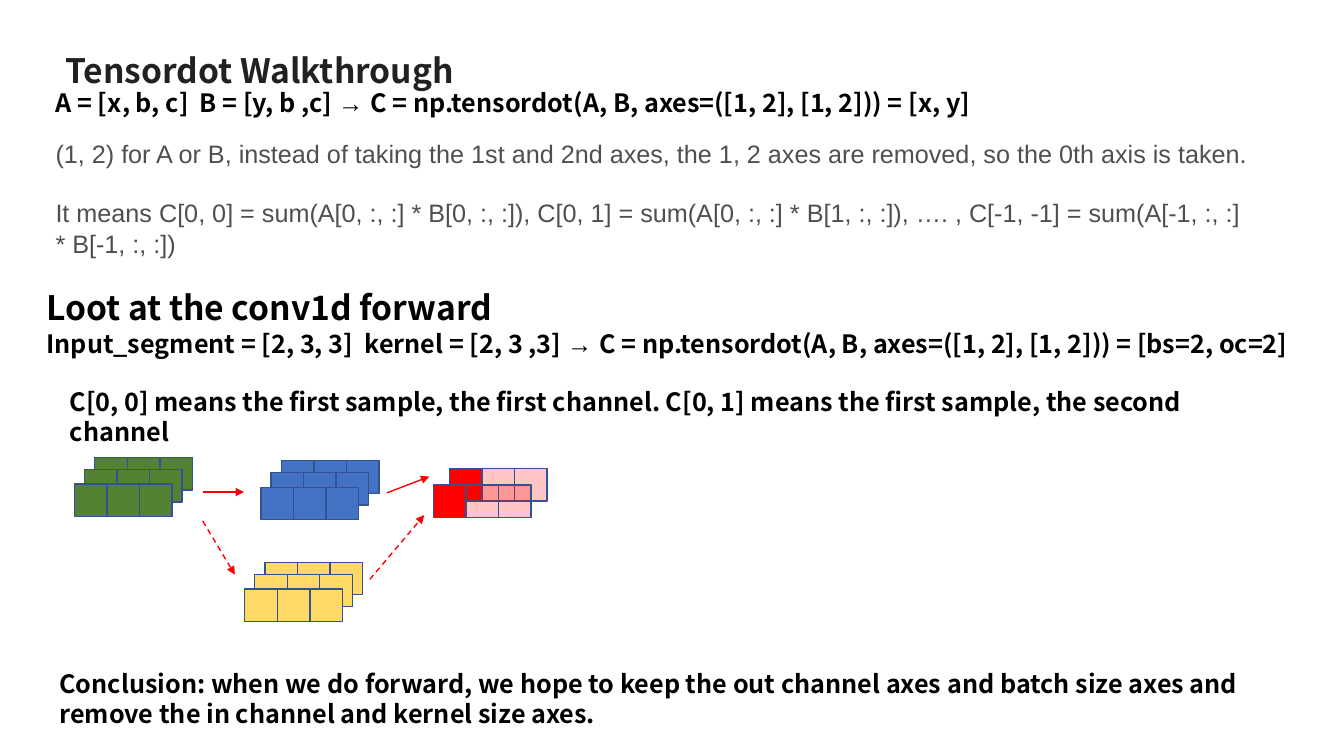
"""Build the Tensordot Walkthrough slide with its convolution block diagram."""
from dataclasses import dataclass

from lxml import etree
from pptx import Presentation
from pptx.dml.color import RGBColor
from pptx.enum.dml import MSO_LINE
from pptx.enum.shapes import MSO_CONNECTOR, MSO_SHAPE
from pptx.enum.text import MSO_ANCHOR, MSO_AUTO_SIZE, PP_ALIGN
from pptx.oxml.ns import qn
from pptx.util import Cm, Pt

RECTANGLE = MSO_SHAPE.RECTANGLE
STRAIGHT = MSO_CONNECTOR.STRAIGHT
DASH = MSO_LINE.DASH
TOP = MSO_ANCHOR.TOP
LEFT = PP_ALIGN.LEFT
GROW = MSO_AUTO_SIZE.SHAPE_TO_FIT_TEXT


@dataclass(frozen=True)
class Theme:
    heading_font: str = "Noto Sans CJK SC"
    body_font: str = "Arial"
    heading_size: int = 24
    body_size: int = 18
    title: str = "212121"
    text: str = "000000"
    muted: str = "4F4F4F"
    outline: str = "32538F"
    green: str = "548235"
    blue: str = "4472C4"
    yellow: str = "FFD966"
    red: str = "FF0000"
    pale_alpha: int = 23000


theme = Theme()


def add_text(page, area, paragraphs, size, color, bold=True):
    """Add a text box; arrows within bold text use the plain body font."""
    box = page.shapes.add_textbox(*map(Cm, area))
    frame = box.text_frame
    settings = {"word_wrap": True, "auto_size": GROW, "vertical_anchor": TOP}
    margins = {f"margin_{side}": Cm(0.13) for side in ("left", "top", "right", "bottom")}
    for name, value in (settings | margins).items():
        setattr(frame, name, value)
    for index, spans in enumerate(paragraphs):
        para = frame.add_paragraph() if index else frame.paragraphs[0]
        para.alignment = LEFT
        for text in spans:
            span = para.add_run()
            span.text = text
            strong = bold and text != "→ "
            family = theme.heading_font if strong else theme.body_font
            for name, value in {"name": family, "size": Pt(size), "bold": strong}.items():
                setattr(span.font, name, value)
            span.font.color.rgb = RGBColor.from_string(color)
    return frame.paragraphs[0]


def add_cells(page, left, top, color, pale_from=3):
    """Add a row of three touching squares, translucent from a given index."""
    for column in range(3):
        cell = page.shapes.add_shape(
            RECTANGLE, Cm(left + column * side), Cm(top), Cm(side), Cm(side))
        cell.shadow.inherit = False
        cell.fill.solid()
        cell.fill.fore_color.rgb = RGBColor.from_string(color)
        cell.line.color.rgb = RGBColor.from_string(theme.outline)
        cell.line.width = Pt(1)
        if column >= pale_from:
            tint = cell.fill._xPr.find(qn("a:solidFill"))[0]
            etree.SubElement(tint, qn("a:alpha")).set("val", str(theme.pale_alpha))


deck = Presentation()
deck.slide_width, deck.slide_height = Cm(33.87), Cm(19.05)
page = deck.slides.add_slide(deck.slide_layouts[6])

title = add_text(page, (0.25, 0.61, 16.69, 1.27), [["Tensordot Walkthrough"]],
                 theme.heading_size, theme.title)
title.line_spacing = 1.5
title._p.get_or_add_pPr().set("indent", str(Cm(1.27)))

explanation = add_text(page, (1.27, 3.35, 30.38, 3.35), [
    ["(1, 2) for A or B, instead of taking the 1st and 2nd axes, "
     "the 1, 2 axes are removed, so the 0th axis is taken."],
    ["It means C[0, 0] = sum(A[0, :, :] * B[0, :, :]), C[0, 1] = sum(A[0, :, :] * B[1, :, :]), "
     "…. , C[-1, -1] = sum(A[-1, :, :] * B[-1, :, :])"],
], theme.body_size, theme.muted, bold=False)
explanation.space_after = Pt(21)

product = "C = np.tensordot(A, B, axes=([1, 2], [1, 2])) = "
statements = [
    ((1.27, 2.06, 25.93, 1.04), theme.body_size,
     ["A = [x, b, c]  B = [y, b ,c] ", "→ ", product + "[x, y]"]),
    ((1.04, 8.15, 31.8, 1.04), theme.body_size,
     ["Input_segment = [2, 3, 3]  kernel = [2, 3 ,3] ", "→ ", product + "[bs=2, oc=2]"]),
    ((1.04, 7.09, 14.71, 1.27), theme.heading_size, ["Loot at the conv1d forward"]),
    ((1.63, 9.6, 30.18, 1.04), theme.body_size,
     ["C[0, 0] means the first sample, the first channel. "
      "C[0, 1] means the first sample, the second channel"]),
    ((1.37, 16.71, 30.18, 1.8), theme.body_size,
     ["Conclusion: when we do forward, we hope to keep the out channel axes and batch size axes "
      "and remove the in channel and kernel size axes."]),
]
for area, size, spans in statements:
    add_text(page, area, [spans], size, theme.text)

side = 0.82
layer_offsets = [(0, 0), (-0.26, 0.3), (-0.51, 0.67)]
stacks = [(2.39, 11.53, theme.green), (7.09, 11.61, theme.blue), (6.68, 14.17, theme.yellow)]
for left, top, color in stacks:
    for across, down in layer_offsets:
        add_cells(page, left + across, top + down, color)
for layer in range(2):
    shift = layer * side / 2
    add_cells(page, 11.33 - shift, 11.81 + shift, theme.red, pale_from=1)

arrows = [
    ((5.11, 12.4, 6.15, 12.4), False),
    ((9.75, 12.42, 10.82, 12.01), False),
    ((5.11, 13.13, 5.92, 14.48), True),
    ((9.32, 14.6, 10.69, 12.98), True),
]
for ends, dashed in arrows:
    arrow = page.shapes.add_connector(STRAIGHT, *map(Cm, ends))
    arrow.line.color.rgb = RGBColor.from_string(theme.red)
    arrow.line.width = Pt(1)
    if dashed:
        arrow.line.dash_style = DASH
    etree.SubElement(arrow.line._get_or_add_ln(), qn("a:tailEnd")).set("type", "triangle")
    etree.SubElement(arrow._element.spPr, qn("a:effectLst"))

deck.save("out.pptx")
